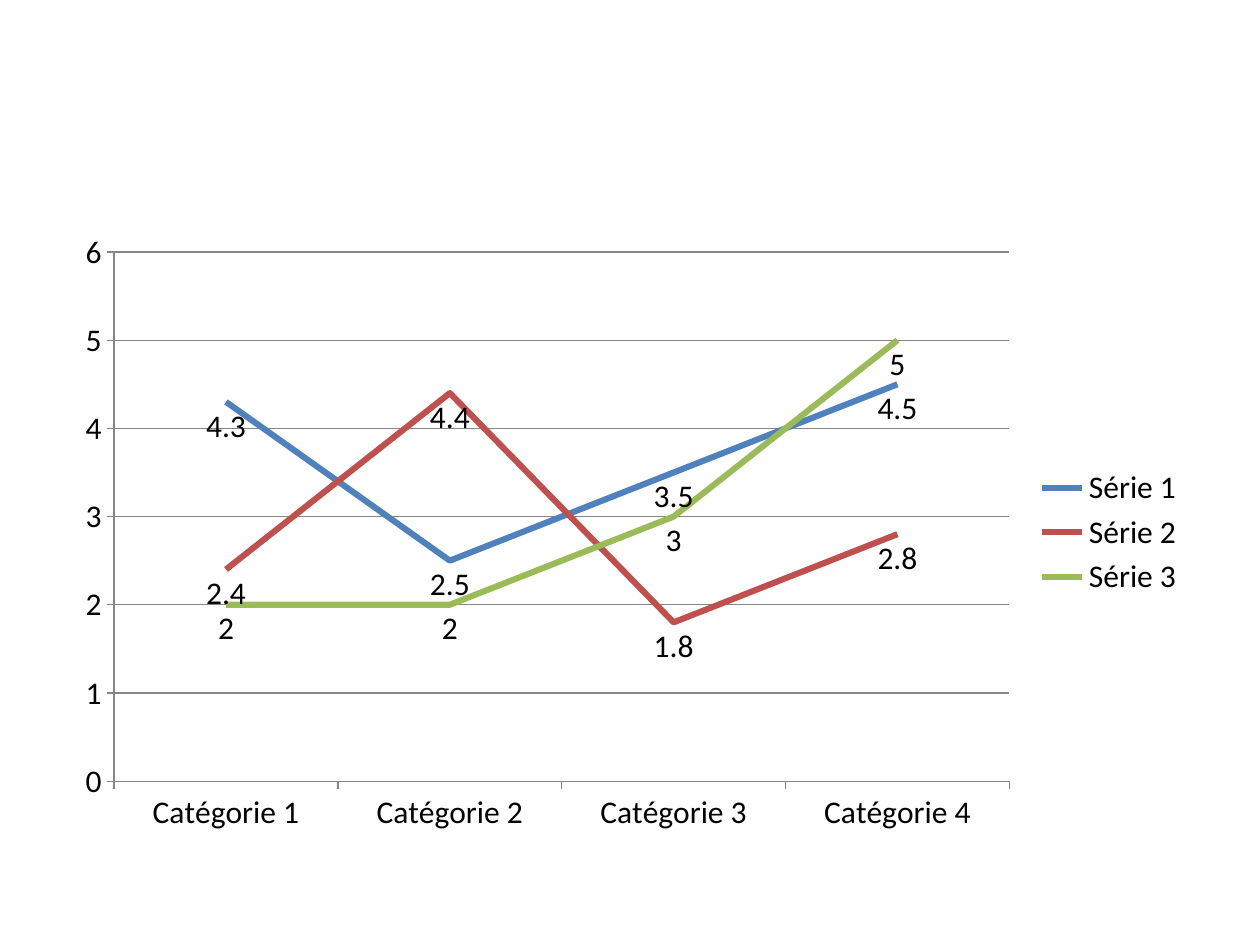
"""Build a slide with a line chart of three series over four categories."""
from dataclasses import dataclass

from pptx import Presentation
from pptx.chart.data import CategoryChartData
from pptx.chart.series import LineSeries
from pptx.dml.color import RGBColor
from pptx.dml.line import LineFormat
from pptx.enum.chart import (
    XL_CHART_TYPE,
    XL_LABEL_POSITION,
    XL_LEGEND_POSITION,
    XL_MARKER_STYLE,
    XL_TICK_MARK,
)
from pptx.util import Inches, Pt

LINE_CHART = XL_CHART_TYPE.LINE
LABEL_BELOW = XL_LABEL_POSITION.BELOW
LEGEND_RIGHT = XL_LEGEND_POSITION.RIGHT
NO_MARKER = XL_MARKER_STYLE.NONE
TICK_OUTSIDE = XL_TICK_MARK.OUTSIDE

BLACK = RGBColor(0x00, 0x00, 0x00)
GREY = RGBColor(0x86, 0x86, 0x86)
BLUE = RGBColor(0x4F, 0x81, 0xBD)
RED = RGBColor(0xC0, 0x50, 0x4D)
GREEN = RGBColor(0x9B, 0xBB, 0x59)


@dataclass(frozen=True)
class Serie:
    name: str
    values: tuple[float, ...]
    color: RGBColor


CATEGORIES = [f"Catégorie {number}" for number in range(1, 5)]
SERIES = (
    Serie("Série 1", (4.3, 2.5, 3.5, 4.5), BLUE),
    Serie("Série 2", (2.4, 4.4, 1.8, 2.8), RED),
    Serie("Série 3", (2, 2, 3, 5), GREEN),
)


def style_line(line: LineFormat, color: RGBColor, width: float) -> None:
    line.color.rgb = color
    line.width = Pt(width)


def style_series(plotted: LineSeries, serie: Serie) -> None:
    plotted.smooth = False
    plotted.marker.style = NO_MARKER
    style_line(plotted.format.line, serie.color, 3.5)
    labels = plotted.data_labels
    labels.show_value = True
    labels.position = LABEL_BELOW


def main() -> None:
    presentation = Presentation()
    presentation.slide_width = Inches(10)
    presentation.slide_height = Inches(7.5)
    slide = presentation.slides.add_slide(presentation.slide_layouts[6])

    data = CategoryChartData()
    data.categories = CATEGORIES
    for serie in SERIES:
        data.add_series(serie.name, serie.values)
    chart = slide.shapes.add_chart(
        LINE_CHART, Inches(0.5), Inches(1.75), Inches(9), Inches(4.95), data
    ).chart

    chart.has_title = False
    chart.font.name = "Calibri"
    chart.font.size = Pt(18)
    chart.font.color.rgb = BLACK
    chart.has_legend = True
    chart.legend.position = LEGEND_RIGHT
    chart.legend.include_in_layout = False

    for axis in (chart.category_axis, chart.value_axis):
        axis.major_tick_mark = TICK_OUTSIDE
        style_line(axis.format.line, GREY, 0.75)
    scale = chart.value_axis
    scale.minimum_scale, scale.maximum_scale, scale.major_unit = 0, 6, 1
    scale.has_major_gridlines = True
    style_line(scale.major_gridlines.format.line, GREY, 0.75)

    plot = chart.plots[0]
    plot.vary_by_categories = False
    for plotted, serie in zip(plot.series, SERIES):
        style_series(plotted, serie)

    presentation.save("out.pptx")


if __name__ == "__main__":
    main()
